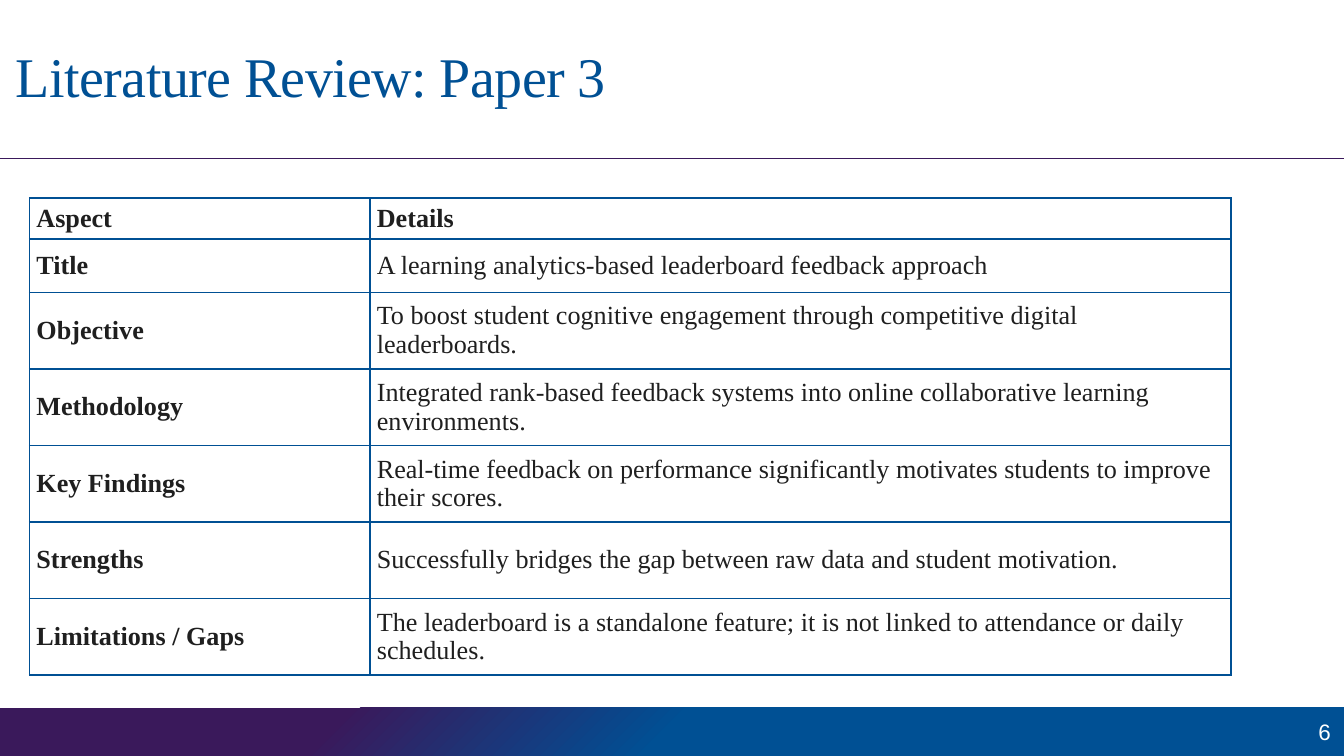
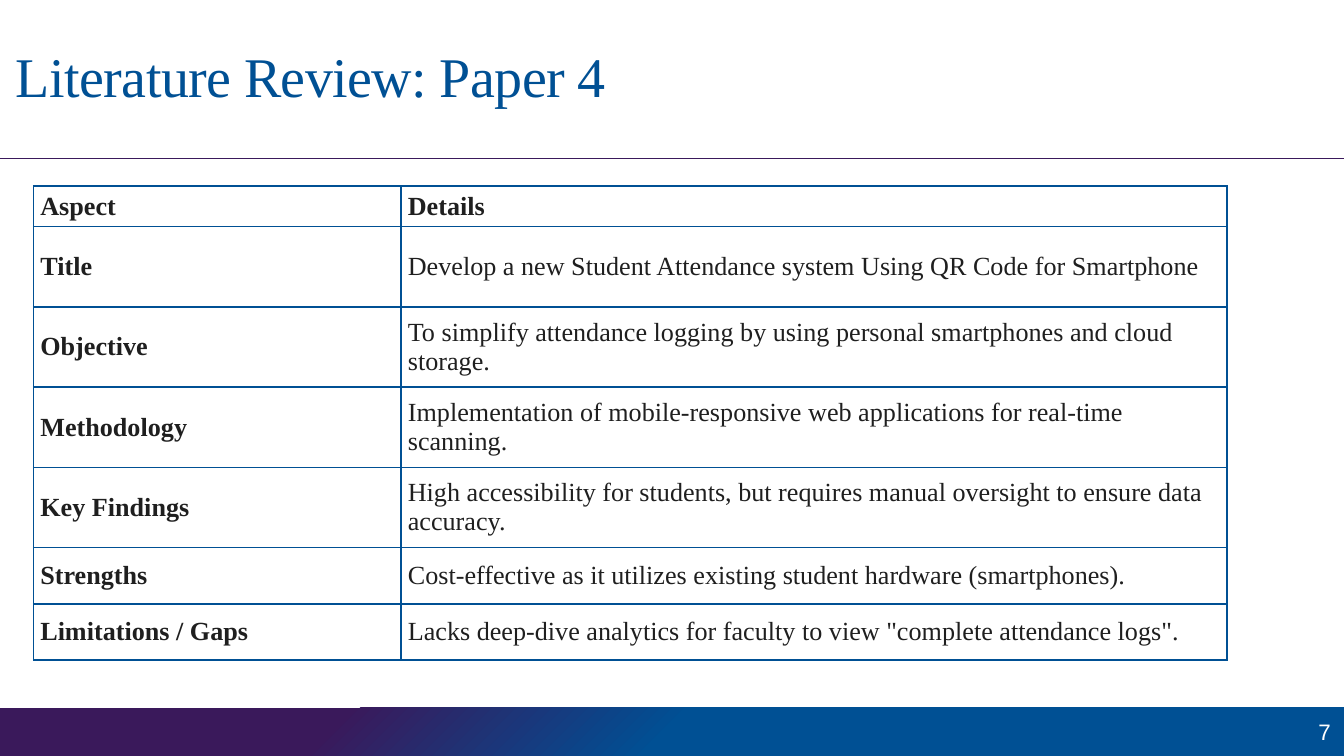
import pptx
import pptx.util
import pptx.dml.color
import pptx.enum.shapes
import pptx.enum.text
import pptx.oxml
import pptx.oxml.ns
from lxml import etree

Pt = pptx.util.Pt
Text = pptx.enum.text

# Content
ASPECTS = ["Title", "Objective", "Methodology", "Key Findings",
           "Strengths", "Limitations / Gaps"]
HEAD = ("Aspect", "Details")
PAPERS = [
    {
        "title": "Literature Review: Paper 3", "page": 6,
        "left": 15.9, "top": 106.1,
        "cols": [182.4, 461.3],
        "rows": [16.8, 28.7] + [41] * 5,
        "notes": [
            "A learning analytics-based leaderboard feedback approach",
            "To boost student cognitive engagement through competitive digital leaderboards.",
            "Integrated rank-based feedback systems into online collaborative learning environments.",
            "Real-time feedback on performance significantly motivates students to improve their scores.",
            "Successfully bridges the gap between raw data and student motivation.",
            "The leaderboard is a standalone feature; it is not linked to attendance or daily schedules.",
        ],
    },
    {
        "title": "Literature Review: Paper 4", "page": 7,
        "left": 18, "top": 99.6,
        "cols": [196.9, 442.5],
        "rows": [17] + [43] * 4 + [30.2] * 2,
        "notes": [
            "Develop a new Student Attendance system Using QR Code for Smartphone",
            "To simplify attendance logging by using personal smartphones and cloud storage.",
            "Implementation of mobile-responsive web applications for real-time scanning.",
            "High accessibility for students, but requires manual oversight to ensure data accuracy.",
            "Cost-effective as it utilizes existing student hardware (smartphones).",
            'Lacks deep-dive analytics for faculty to view "complete attendance logs".',
        ],
    },
]


# Colours, fonts and type sizes
class Theme:
    blue, plum, ink, white = "005094", "3A195B", "1F1F1F", "FFFFFF"
    serif, sans = "Times New Roman", "Arial"
    title, body, page = 30, 14, 12
    rule, grid = 0.75, 1


WIDE, HIGH = 720, 405
BAND = 25.8
RULE = 84.8
STOPS = [(0, Theme.blue), (50, Theme.blue), (75, Theme.plum)]


def rgb(code):
    return pptx.dml.color.RGBColor.from_string(code)


def put(item, form):
    for name, value in form.items():
        setattr(item, name, value)


def node(root, tag, **attrs):
    return etree.SubElement(root, pptx.oxml.ns.qn(tag), attrs)


def write(frame, text, size, face, color, bold=False):
    run = frame.paragraphs[0].add_run()
    run.text = text
    put(run.font, {"size": Pt(size), "name": face, "bold": bold})
    run.font.color.rgb = rgb(color)
    return run


def label(slide, spot, pads, anchor):
    frame = slide.shapes.add_textbox(*map(Pt, spot)).text_frame
    left, top, right, base = map(Pt, pads)
    put(frame, {"margin_left": left, "margin_top": top, "margin_right": right,
                "margin_bottom": base, "word_wrap": True,
                "vertical_anchor": anchor})
    return frame


# Footer band, rule, page number and title
def band(slide):
    kind = pptx.enum.shapes.MSO_SHAPE.RECTANGLE
    shape = slide.shapes.add_shape(kind, 0, Pt(HIGH - BAND), Pt(WIDE), Pt(BAND))
    shape.shadow.inherit = False
    shape.line.fill.background()
    grad = pptx.oxml.parse_xml(
        "<a:gradFill %s/>" % pptx.oxml.ns.nsdecls("a"))
    stops = node(grad, "a:gsLst")
    for place, color in STOPS:
        stop = node(stops, "a:gs", pos=str(place * 1000))
        node(stop, "a:srgbClr", val=color)
    ring = node(grad, "a:path", path="circle")
    node(ring, "a:fillToRect", l="100000", t="100000")
    node(grad, "a:tileRect", r="-100000", b="-100000")
    shape._element.spPr.insert(2, grad)


def rule(slide):
    kind = pptx.enum.shapes.MSO_CONNECTOR.STRAIGHT
    line = slide.shapes.add_connector(kind, 0, Pt(RULE), Pt(WIDE), Pt(RULE))
    line.line.color.rgb = rgb(Theme.plum)
    line.line.width = Pt(Theme.rule)
    node(line._element.spPr, "a:effectLst")


def base(slide, paper):
    band(slide)
    rule(slide)
    page = label(slide, (679.7, HIGH - BAND, 40.3, BAND),
                 (7.2, 3.6, 7.2, 3.6), Text.MSO_ANCHOR.MIDDLE)
    page.paragraphs[0].alignment = Text.PP_ALIGN.RIGHT
    write(page, str(paper["page"]), Theme.page, Theme.sans, Theme.white)
    head = label(slide, (5, 15.1, 585.4, 41.8), (3.6, 7.2, 0, 0),
                 Text.MSO_ANCHOR.TOP)
    run = write(head, paper["title"], Theme.title, Theme.serif, Theme.blue)
    run.font._element.set("spc", "-30")


# Review table
def edge(cell):
    props = cell._tc.get_or_add_tcPr()
    for tag in ("a:lnL", "a:lnR", "a:lnT", "a:lnB"):
        line = node(props, tag, w=str(Pt(Theme.grid)))
        node(node(line, "a:solidFill"), "a:srgbClr", val=Theme.blue)


def grid(slide, paper):
    cells = [HEAD, *zip(ASPECTS, paper["notes"])]
    cols, rows = paper["cols"], paper["rows"]
    spot = paper["left"], paper["top"], sum(cols), sum(rows)
    table = slide.shapes.add_table(len(rows), len(cols), *map(Pt, spot)).table
    put(table, {"first_row": False, "horz_banding": False})
    for col, width in zip(table.columns, cols):
        col.width = Pt(width)
    for y, (row, high) in enumerate(zip(table.rows, rows)):
        row.height = Pt(high)
        for x, cell in enumerate(row.cells):
            put(cell, {"margin_left": Pt(3.6), "margin_right": Pt(3.6),
                       "margin_top": Pt(2.5), "margin_bottom": Pt(2.5),
                       "vertical_anchor": Text.MSO_ANCHOR.MIDDLE})
            edge(cell)
            cell.fill.background()
            write(cell.text_frame, cells[y][x], Theme.body, Theme.serif,
                  Theme.ink, bold=x == 0 or y == 0)


def main():
    deck = pptx.Presentation()
    put(deck, {"slide_width": Pt(WIDE), "slide_height": Pt(HIGH)})
    for paper in PAPERS:
        slide = deck.slides.add_slide(deck.slide_layouts[6])
        base(slide, paper)
        grid(slide, paper)
    deck.save("out.pptx")


if __name__ == "__main__":
    main()
